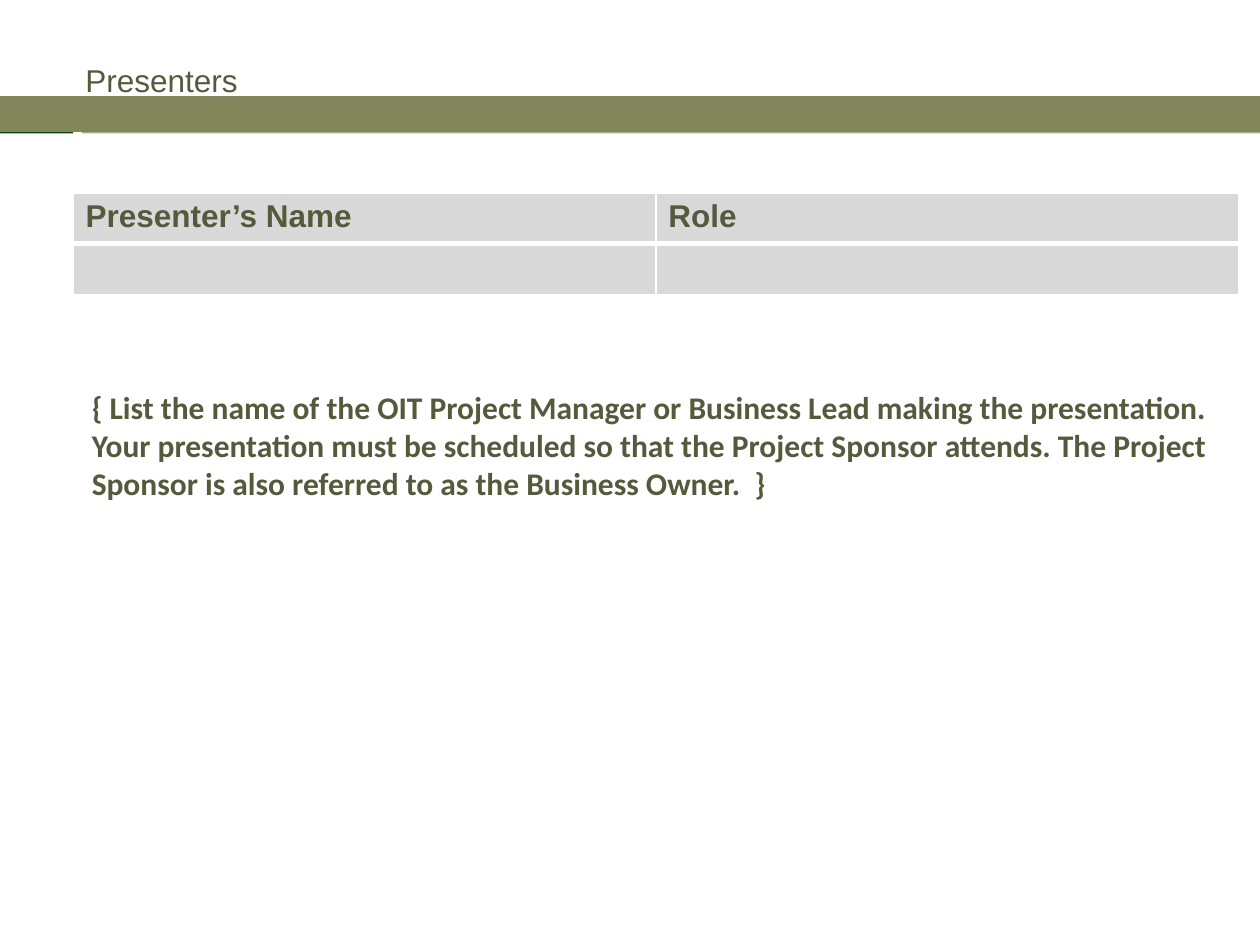
"""Build the Presenters slide with its title band, table and guidance note."""
from lxml.etree import SubElement
from pptx import Presentation
from pptx.dml.color import RGBColor
from pptx.enum.shapes import MSO_SHAPE
from pptx.enum.text import MSO_ANCHOR
from pptx.oxml.ns import qn
from pptx.util import Inches, Pt

COLORS = {
    "text": "565A3C",
    "band": "81875A",
    "light_band": "A5AB81",
    "dark_block": "0F4808",
    "cell": "D9D9D9",
    "border": "FFFFFF",
}
COLUMNS, ROWS = 100, 75


def color(name):
    return RGBColor.from_string(COLORS[name])


def write_text(frame, text, font="Arial", size=18, bold=False, fill="text"):
    run = frame.paragraphs[0].add_run()
    run.text = text
    run.font.name = font
    run.font.size = Pt(size)
    run.font.bold = bold
    run.font.color.rgb = color(fill)


class SlideBuilder:
    def __init__(self, presentation):
        self.presentation = presentation
        self.slide = presentation.slides.add_slide(presentation.slide_layouts[6])

    def place(self, left, top, width, height):
        column = self.presentation.slide_width / COLUMNS
        row = self.presentation.slide_height / ROWS
        return [round(length) for length in
                (left * column, top * row, width * column, height * row)]

    def rectangle(self, area, fill, line_width=0):
        shape = self.slide.shapes.add_shape(MSO_SHAPE.RECTANGLE, *self.place(*area))
        shape.shadow.inherit = False
        shape.fill.solid()
        shape.fill.fore_color.rgb = color(fill)
        if line_width:
            shape.line.color.rgb = color(fill)
            shape.line.width = Pt(line_width)
        else:
            shape.line.fill.background()

    def text(self, area, text, anchor=MSO_ANCHOR.TOP, margin_top=0.05, **style):
        frame = self.slide.shapes.add_textbox(*self.place(*area)).text_frame
        frame.word_wrap = True
        frame.vertical_anchor = anchor
        frame.margin_top = Inches(margin_top)
        write_text(frame, text, **style)

    def border(self, cell, side, width):
        line = SubElement(cell._tc.get_or_add_tcPr(), qn(f"a:{side}"), w=str(Pt(width)))
        solid = SubElement(line, qn("a:solidFill"))
        SubElement(solid, qn("a:srgbClr"), val=COLORS["border"])

    def table(self, area, rows):
        shape = self.slide.shapes.add_table(len(rows), len(rows[0]), *self.place(*area))
        for row_index, row in enumerate(rows):
            top_width = 3 if row_index == 1 else 1
            bottom_width = 3 if row_index == 0 else 1
            for column_index, text in enumerate(row):
                cell = shape.table.cell(row_index, column_index)
                for side, width in zip(("lnL", "lnR", "lnT", "lnB"),
                                       (1, 1, top_width, bottom_width)):
                    self.border(cell, side, width)
                cell.fill.solid()
                cell.fill.fore_color.rgb = color("cell")
                if text:
                    write_text(cell.text_frame, text, bold=True)


def main():
    presentation = Presentation()
    presentation.slide_width = Inches(10)
    presentation.slide_height = Inches(7.5)
    builder = SlideBuilder(presentation)
    builder.rectangle((0, 8.1, 5.8, 2.5), "dark_block")
    builder.rectangle((6.5, 8.1, 93.5, 2.5), "light_band")
    builder.text((5.8, 4, 85.4, 4.7), "Presenters", anchor=MSO_ANCHOR.MIDDLE)
    builder.table((5.8, 15.3, 92.5, 8.1), [["Presenter’s Name", "Role"], ["", ""]])
    builder.text(
        (6.3, 24.3, 92.1, 28.3),
        "{ List the name of the OIT Project Manager or Business Lead making the "
        "presentation. Your presentation must be scheduled so that the Project "
        "Sponsor attends. The Project Sponsor is also referred to as the "
        "Business Owner.  }",
        margin_top=0.65, font="Calibri", bold=True,
    )
    builder.rectangle((0, 7.7, 100, 2.7), "band", line_width=1.5)
    presentation.save("out.pptx")


if __name__ == "__main__":
    main()
